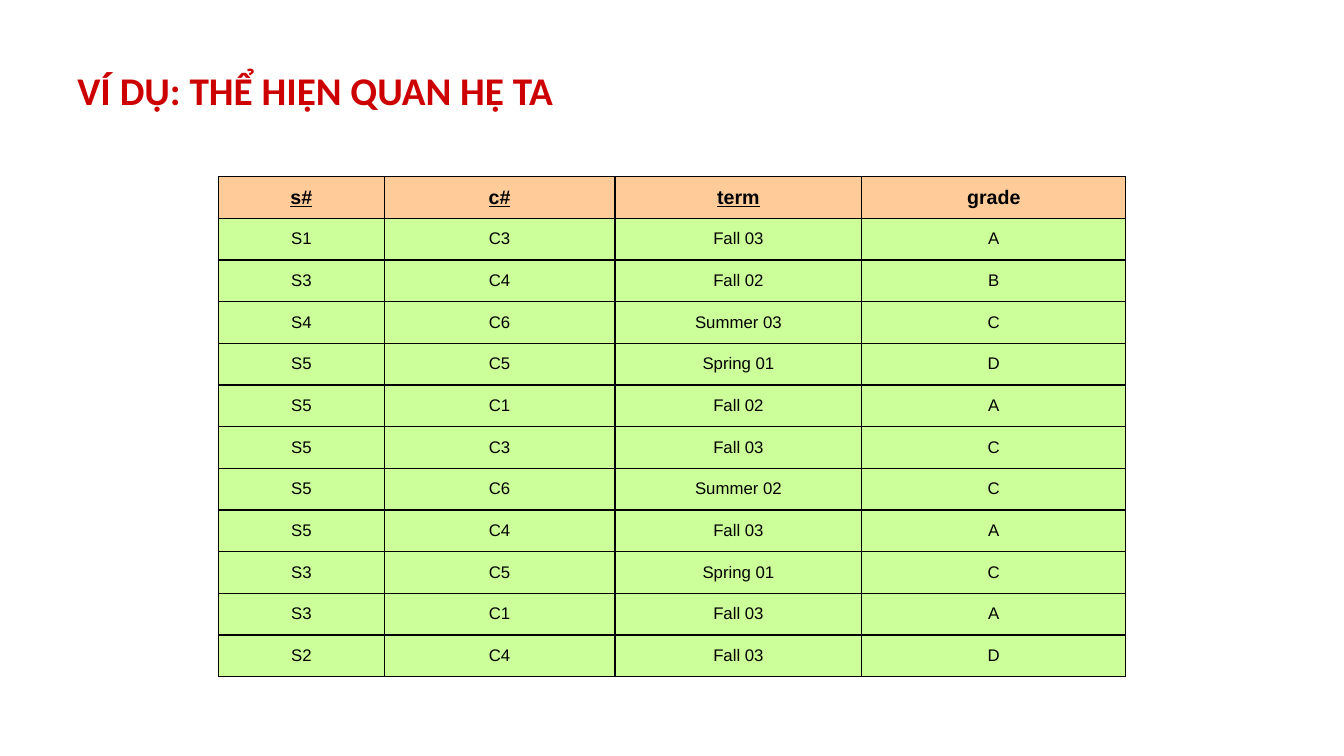
from dataclasses import dataclass

from lxml.etree import SubElement
from pptx import Presentation
from pptx.dml.color import RGBColor
from pptx.enum.text import MSO_ANCHOR, PP_ALIGN
from pptx.oxml.ns import qn
from pptx.util import Cm, Pt


@dataclass(frozen=True)
class Theme:
    title_color: str = "CC0000"
    text_color: str = "000000"
    border_color: str = "000000"
    header_fill: str = "FFCC99"
    body_fill: str = "CCFF99"
    title_font: str = "Calibri"
    table_font: str = "Arial"
    title_size: int = 28
    header_size: int = 14
    body_size: int = 12
    border_width: int = 1


THEME = Theme()

COLUMN_WIDTHS = (4.17, 5.82, 6.22, 6.65)
ROW_HEIGHT = 1.05
HEADERS = ("s#", "c#", "term", "grade")
KEY_COLUMNS = ("s#", "c#", "term")
ENROLLMENTS = (
    ("S1", "C3", "Fall 03", "A"),
    ("S3", "C4", "Fall 02", "B"),
    ("S4", "C6", "Summer 03", "C"),
    ("S5", "C5", "Spring 01", "D"),
    ("S5", "C1", "Fall 02", "A"),
    ("S5", "C3", "Fall 03", "C"),
    ("S5", "C6", "Summer 02", "C"),
    ("S5", "C4", "Fall 03", "A"),
    ("S3", "C5", "Spring 01", "C"),
    ("S3", "C1", "Fall 03", "A"),
    ("S2", "C4", "Fall 03", "D"),
)


def write_text(text_frame, text, *, font=THEME.table_font, size=THEME.body_size,
               color=THEME.text_color, bold=False, underline=False,
               align=PP_ALIGN.CENTER, line_spacing=None):
    paragraph = text_frame.paragraphs[0]
    paragraph.alignment = align
    paragraph.line_spacing = line_spacing
    run = paragraph.add_run()
    run.text = text
    run.font.name = font
    run.font.size = Pt(size)
    run.font.bold = bold
    run.font.underline = underline
    run.font.color.rgb = RGBColor.from_string(color)


def add_title(slide, text):
    shape = slide.shapes.add_textbox(Cm(1.7), Cm(0.76), Cm(30.48), Cm(3.18))
    shape.text_frame.word_wrap = True
    shape.text_frame.vertical_anchor = MSO_ANCHOR.MIDDLE
    write_text(shape.text_frame, text, font=THEME.title_font, size=THEME.title_size,
               color=THEME.title_color, bold=True, align=PP_ALIGN.LEFT, line_spacing=0.9)


def add_borders(cell):
    """Draw all four sides; call before the fill, which must follow in the XML."""
    properties = cell._tc.get_or_add_tcPr()
    for side in ("a:lnL", "a:lnR", "a:lnT", "a:lnB"):
        line = SubElement(properties, qn(side), w=str(Pt(THEME.border_width)))
        fill = SubElement(line, qn("a:solidFill"))
        SubElement(fill, qn("a:srgbClr"), val=THEME.border_color)


def format_cell(cell, text, fill, **text_format):
    cell.vertical_anchor = MSO_ANCHOR.MIDDLE
    add_borders(cell)
    cell.fill.solid()
    cell.fill.fore_color.rgb = RGBColor.from_string(fill)
    write_text(cell.text_frame, text, **text_format)


def add_relation_table(slide, headers, records):
    row_count = len(records) + 1
    table = slide.shapes.add_table(
        row_count, len(headers), Cm(5.51), Cm(4.45),
        Cm(sum(COLUMN_WIDTHS)), Cm(ROW_HEIGHT * row_count)).table
    for column, width in zip(table.columns, COLUMN_WIDTHS):
        column.width = Cm(width)
    for row in table.rows:
        row.height = Cm(ROW_HEIGHT)
    for column_index, header in enumerate(headers):
        format_cell(table.cell(0, column_index), header, THEME.header_fill,
                    size=THEME.header_size, bold=True, underline=header in KEY_COLUMNS)
    for row_index, record in enumerate(records, start=1):
        for column_index, value in enumerate(record):
            format_cell(table.cell(row_index, column_index), value, THEME.body_fill)


def main():
    presentation = Presentation()
    presentation.slide_width = Cm(33.87)
    presentation.slide_height = Cm(19.05)
    slide = presentation.slides.add_slide(presentation.slide_layouts[6])
    add_title(slide, "VÍ DỤ: THỂ HIỆN QUAN HỆ TA")
    add_relation_table(slide, HEADERS, ENROLLMENTS)
    presentation.save("out.pptx")


if __name__ == "__main__":
    main()
